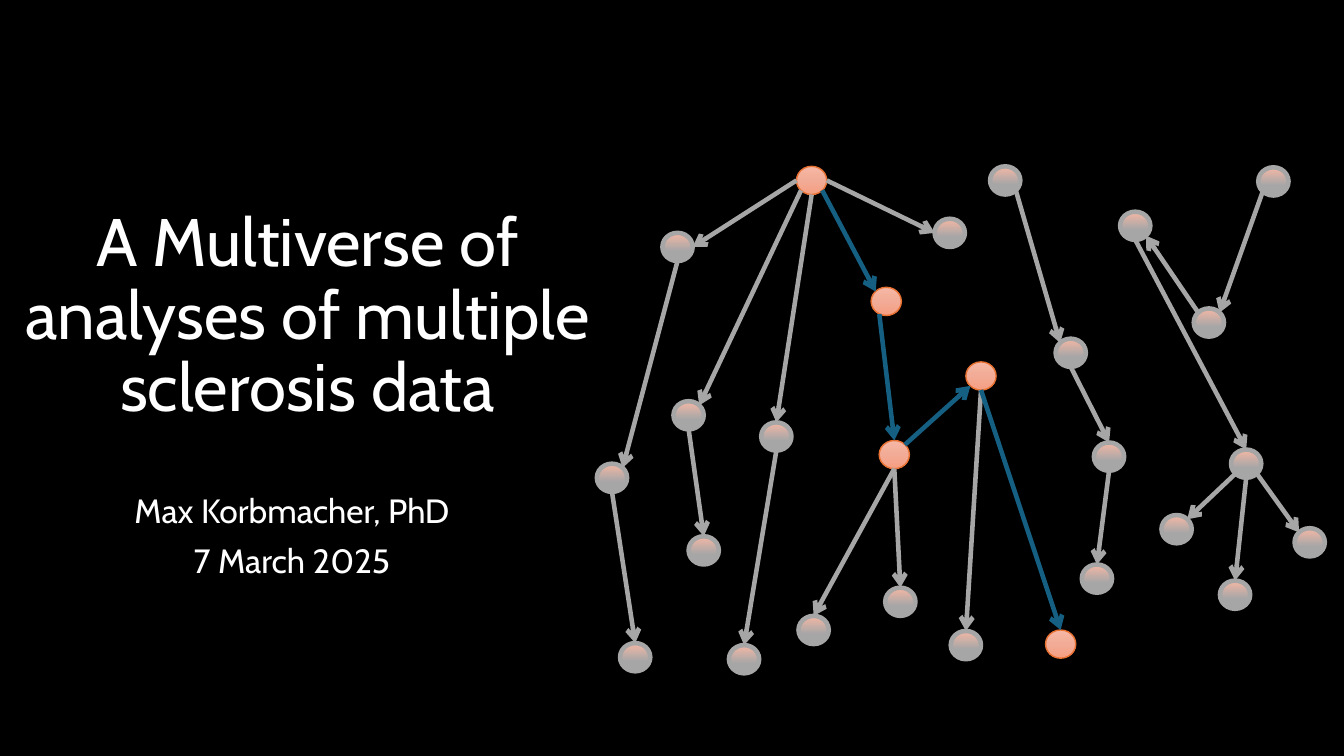
import copy

import lxml.etree
import pptx
import pptx.dml.color
import pptx.enum.shapes
import pptx.enum.text
import pptx.oxml.ns
import pptx.util

Inches, Pt = pptx.util.Inches, pptx.util.Pt
RGBColor = pptx.dml.color.RGBColor
qn = pptx.oxml.ns.qn

TITLE = "A Multiverse of analyses of multiple sclerosis data"
BYLINE = ["Max Korbmacher, PhD", "7 March 2025"]
FONT = "Cabin"

BLACK = RGBColor(0x00, 0x00, 0x00)
WHITE = RGBColor(0xFF, 0xFF, 0xFF)
GREY = RGBColor(0xA6, 0xA6, 0xA6)
BLUE = RGBColor(0x15, 0x60, 0x82)
ORANGE = RGBColor(0xE9, 0x71, 0x32)
PALE = RGBColor(0xF5, 0xB8, 0xA5)
PEACH = RGBColor(0xF2, 0xAB, 0x96)
SALMON = RGBColor(0xF5, 0x9E, 0x82)

NODE_W, NODE_H = 0.3, 0.28
CHOSEN_NODES = {
    "start": (7.9, 1.65), "step 1": (8.64, 2.85), "step 2": (8.72, 4.37),
    "step 3": (9.58, 3.59), "end": (10.37, 6.25),
}
OTHER_NODES = {
    "a1": (6.57, 2.31), "a2": (5.92, 4.6), "a3": (6.15, 6.38),
    "b1": (6.68, 3.98), "b2": (6.83, 5.32),
    "c1": (7.55, 4.19), "c2": (7.23, 6.4), "d1": (9.27, 2.17),
    "e1": (7.92, 6.11), "e2": (8.78, 5.83), "f1": (9.43, 6.26),
    "g1": (9.82, 1.65), "g2": (10.47, 3.36), "g3": (10.85, 4.39), "g4": (10.73, 5.6),
    "h1": (12.48, 1.66), "h2": (11.84, 3.06), "h3": (11.11, 2.1), "h4": (12.21, 4.46),
    "i1": (11.52, 5.11), "i2": (12.1, 5.76), "i3": (12.84, 5.24),
}
SITES = {
    "top": (0.5, 0), "bottom": (0.5, 1), "left": (0, 0.5), "right": (1, 0.5),
    "top left": (0.15, 0.15), "top right": (0.85, 0.15),
    "bottom left": (0.15, 0.85), "bottom right": (0.85, 0.85),
    "low left": (0.27, 0.95),
}
CHOSEN_PATH = [
    ("start", "bottom right", "step 1", "top left"),
    ("step 1", "low left", "step 2", "top"),
    ("step 2", "top right", "step 3", "bottom left"),
    ("step 3", "bottom", "end", "top"),
]
OTHER_PATHS = [
    ("start", "left", "a1", "right"),
    ("start", "bottom left", "b1", "top right"),
    ("start", "bottom", "c1", "top"),
    ("start", "right", "d1", "left"),
    ("a1", "bottom", "a2", "top right"),
    ("a2", "bottom", "a3", "top"),
    ("b1", "bottom", "b2", "top"),
    ("c1", "bottom", "c2", "top"),
    ("step 2", "bottom", "e1", "top"),
    ("step 2", "bottom", "e2", "top"),
    ("step 3", "bottom", "f1", "top"),
    ("g1", "bottom right", "g2", "top left"),
    ("g2", "bottom", "g3", "top"),
    ("g3", "bottom", "g4", "top"),
    ("h1", "bottom left", "h2", "top right"),
    ("h2", "top left", "h3", "bottom right"),
    ("h3", "bottom", "h4", "top"),
    ("h4", "bottom left", "i1", "top right"),
    ("h4", "bottom", "i2", "top"),
    ("h4", "bottom right", "i3", "top left"),
]
CHOSEN_LOOK = ([(0, PALE), (0.5, PEACH), (1, SALMON)], ORANGE, 1)
OTHER_LOOK = ([(0, PALE), (0.65, GREY), (1, GREY)], GREY, 3.25)


def write(box, lines, size, gap):
    """Fill a box with centred white lines."""
    frame = box.text_frame
    frame.word_wrap = True
    frame.auto_size = pptx.enum.text.MSO_AUTO_SIZE.NONE
    frame.vertical_anchor = pptx.enum.text.MSO_ANCHOR.MIDDLE
    for index, line in enumerate(lines):
        paragraph = frame.add_paragraph() if index else frame.paragraphs[0]
        paragraph.alignment = pptx.enum.text.PP_ALIGN.CENTER
        paragraph.line_spacing = 0.9
        paragraph.space_before = Pt(gap if index else 0)
        run = paragraph.add_run()
        run.text = line
        run.font.name = FONT
        run.font.size = Pt(size)
        run.font.color.rgb = WHITE


def draw_node(slide, place, look):
    """Draw one analysis choice as a shaded ellipse."""
    shades, edge, weight = look
    node = slide.shapes.add_shape(
        pptx.enum.shapes.MSO_SHAPE.OVAL, *map(Inches, (*place, NODE_W, NODE_H)))
    node.shadow.inherit = False
    node.fill.gradient()
    node.fill.gradient_angle = 270
    stops = node._element.spPr.find(qn("a:gradFill")).find(qn("a:gsLst"))
    stops.append(copy.deepcopy(stops[0]))
    for stop, (position, color) in zip(node.fill.gradient_stops, shades):
        stop.position = position
        stop.color.rgb = color
    node.line.color.rgb = edge
    node.line.width = Pt(weight)


def site_point(place, site):
    """Return the point of a node's outline at a named site."""
    across, down = SITES[site]
    return Inches(place[0] + across * NODE_W), Inches(place[1] + down * NODE_H)


def draw_arrow(slide, begin, end, color):
    """Draw an arrow between two points."""
    arrow = slide.shapes.add_connector(
        pptx.enum.shapes.MSO_CONNECTOR.STRAIGHT, *begin, *end)
    arrow.line.color.rgb = color
    arrow.line.width = Pt(3.25)
    properties = arrow._element.spPr
    lxml.etree.SubElement(properties.find(qn("a:ln")), qn("a:tailEnd"), type="arrow")
    lxml.etree.SubElement(properties, qn("a:effectLst"))


def main():
    """Build the title slide with its tree of analysis paths."""
    deck = pptx.Presentation()
    deck.slide_width, deck.slide_height = Inches(13.33), Inches(7.5)
    slide = deck.slides.add_slide(deck.slide_layouts[5])
    slide.background.fill.solid()
    slide.background.fill.fore_color.rgb = BLACK

    title = slide.shapes.title
    title.left, title.top, title.width, title.height = map(Inches, (0.1, 1.18, 5.9, 3.94))
    write(title, [TITLE], 48, 0)
    byline = slide.shapes.add_textbox(*map(Inches, (0.68, 4.78, 4.43, 1.1)))
    write(byline, BYLINE, 24, 10)

    for nodes, look in ((OTHER_NODES, OTHER_LOOK), (CHOSEN_NODES, CHOSEN_LOOK)):
        for place in nodes.values():
            draw_node(slide, place, look)

    places = {**CHOSEN_NODES, **OTHER_NODES}
    for paths, color in ((OTHER_PATHS, GREY), (CHOSEN_PATH, BLUE)):
        for source, leaving, target, arriving in paths:
            draw_arrow(slide, site_point(places[source], leaving),
                       site_point(places[target], arriving), color)

    deck.save("out.pptx")


if __name__ == "__main__":
    main()
